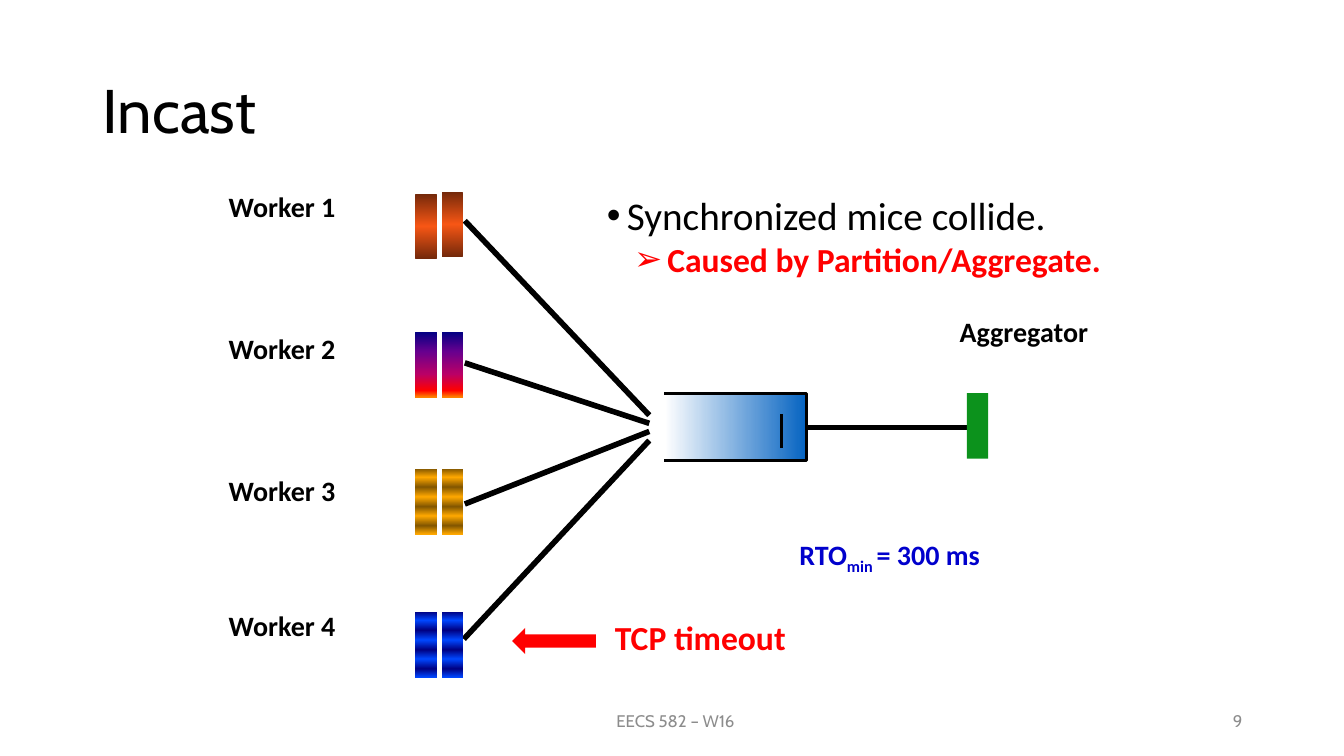
from dataclasses import dataclass

from lxml.etree import SubElement
from pptx import Presentation
from pptx.dml.color import RGBColor
from pptx.enum.shapes import MSO_CONNECTOR as Connector, MSO_SHAPE as Shape
from pptx.enum.text import MSO_ANCHOR as Anchor, PP_ALIGN as Align
from pptx.oxml.ns import qn
from pptx.util import Inches, Pt


@dataclass(frozen=True)
class Theme:
    black: str = "000000"
    red: str = "FF0000"
    blue: str = "0000CC"
    green: str = "0C921C"
    gray: str = "8C8C8C"
    heading: str = "Cabin"
    body: str = "Calibri"
    title: int = 44
    point: int = 28
    subpoint: int = 24
    label: int = 20
    footer: int = 12
    link: float = 4
    outline: float = 2.25


THEME = Theme()


def striped(dark, bright):
    positions = (0, 13, 28, 43, 58, 72, 87, 100)
    return [(position, (dark, bright)[i % 2]) for i, position in enumerate(positions)]


# label, label top, packet tops (left, right), link start, link end height, gradient
WORKERS = [
    ("Worker 1", 1.83, (1.92, 1.9), (4.61, 2.19), 4.12,
     [(0, "72280A"), (50, "F75615"), (100, "72280A")]),
    ("Worker 2", 3.24, (3.29, 3.29), (4.61, 3.6), 4.2,
     [(0, "000082"), (30, "66008F"), (65, "BA0066"), (90, "FF0000"), (100, "FF8200")]),
    ("Worker 3", 4.65, (4.65, 4.65), (4.61, 5), 4.28, striped("825600", "FFA800")),
    ("Worker 4", 5.99, (6.07, 6.07), (4.6, 6.34), 4.37, striped("000082", "0047FF")),
]
# text, left margin, bullet, size, colour, bold
POINTS = [
    ("Synchronized mice collide.", 0.2, 0.2, "•", THEME.point, THEME.black, False),
    ("Caused by Partition/Aggregate.", 0.6, 0.33, "➢", THEME.subpoint, THEME.red, True),
]
QUEUE_GRADIENT = [(0, "FFFFFF"), (100, "0563C1")]
LABEL_LEFT, LABEL_SIZE = 2.17, (1.5, 0.44)
PACKET_LEFTS, PACKET_SIZE = (4.12, 4.38), (0.21, 0.65)
SWITCH_LEFT = 6.44
QUEUE_LEFT, QUEUE_RIGHT, QUEUE_TOP, QUEUE_BOTTOM = 6.59, 8, 3.9, 4.57
AGGREGATOR_LEFT = 9.59

presentation = Presentation()
presentation.slide_width, presentation.slide_height = Inches(13.33), Inches(7.5)
slide = presentation.slides.add_slide(presentation.slide_layouts[6])


def add_run(paragraph, text, size, color, font=THEME.body, bold=False):
    run = paragraph.add_run()
    run.text = text
    run.font.name, run.font.size, run.font.bold = font, Pt(size), bold
    run.font.color.rgb = RGBColor.from_string(color)
    return run


def add_box(left, top, width, height, anchor=Anchor.TOP):
    box = slide.shapes.add_textbox(*map(Inches, (left, top, width, height)))
    box.text_frame.word_wrap = True
    box.text_frame.vertical_anchor = anchor
    return box.text_frame


def add_label(text, left, top, width=LABEL_SIZE[0], height=LABEL_SIZE[1],
              size=THEME.label, color=THEME.black):
    paragraph = add_box(left, top, width, height).paragraphs[0]
    add_run(paragraph, text, size, color, bold=True)
    return paragraph


def add_heading(text, area, size, color, align=Align.LEFT):
    paragraph = add_box(*area, Anchor.MIDDLE).paragraphs[0]
    paragraph.alignment = align
    add_run(paragraph, text, size, color, THEME.heading)
    return paragraph


def add_link(start, end, width=THEME.link):
    link = slide.shapes.add_connector(Connector.STRAIGHT, *map(Inches, start + end))
    link.line.color.rgb = RGBColor.from_string(THEME.black)
    link.line.width = Pt(width)
    SubElement(link._element.spPr, qn("a:effectLst"))


def paint_gradient(shape, stops, angle):
    shape.fill.gradient()
    shape.fill.gradient_angle = angle
    stop_list = shape._element.spPr.find(qn("a:gradFill")).find(qn("a:gsLst"))
    for stop in list(stop_list):
        stop_list.remove(stop)
    for position, color in stops:
        stop = SubElement(stop_list, qn("a:gs"), pos=str(position * 1000))
        SubElement(stop, qn("a:srgbClr"), val=color)


def add_block(kind, left, top, width, height, color=None, stops=None):
    block = slide.shapes.add_shape(kind, *map(Inches, (left, top, width, height)))
    block.shadow.inherit = False
    block.line.fill.background()
    if stops:
        paint_gradient(block, stops, 270)
    else:
        block.fill.solid()
        block.fill.fore_color.rgb = RGBColor.from_string(color)


def add_queue():
    builder = slide.shapes.build_freeform(Inches(QUEUE_LEFT), Inches(QUEUE_TOP))
    corners = [(QUEUE_RIGHT, QUEUE_TOP), (QUEUE_RIGHT, QUEUE_BOTTOM), (QUEUE_LEFT, QUEUE_BOTTOM)]
    builder.add_line_segments([(Inches(x), Inches(y)) for x, y in corners], close=False)
    queue = builder.convert_to_shape()
    queue.shadow.inherit = False
    paint_gradient(queue, QUEUE_GRADIENT, 0)
    queue.line.color.rgb = RGBColor.from_string(THEME.black)
    queue.line.width = Pt(THEME.outline)
    add_link((7.75, 4.11), (7.75, 4.44), THEME.outline)


def add_points():
    frame = add_box(5.92, 1.85, 5.5, 0.98)
    for i, (text, margin, hang, bullet, size, color, bold) in enumerate(POINTS):
        paragraph = frame.add_paragraph() if i else frame.paragraphs[0]
        properties = paragraph._p.get_or_add_pPr()
        properties.set("marL", str(Inches(margin)))
        properties.set("indent", str(-Inches(hang)))
        SubElement(properties, qn("a:buFont"), typeface="Arial")
        SubElement(properties, qn("a:buChar"), char=bullet)
        add_run(paragraph, text, size, color, bold=bold)


title = add_heading("Incast", (0.92, 0.4, 11.5, 1.45), THEME.title, THEME.black)
title.line_spacing = 0.9
add_heading("EECS 582 – W16", (4.45, 6.95, 4.5, 0.4), THEME.footer, THEME.gray, Align.CENTER)
add_heading("9", (9.42, 6.95, 3, 0.4), THEME.footer, THEME.gray, Align.RIGHT)

add_link((7.98, 4.24), (9.74, 4.24))
add_queue()
add_block(Shape.RECTANGLE, AGGREGATOR_LEFT, QUEUE_TOP, *PACKET_SIZE, THEME.green)
add_label("Aggregator", 9.42, 3.07, 1.67)

for name, label_top, packet_tops, link_start, link_end, stops in WORKERS:
    add_label(name, LABEL_LEFT, label_top)
    add_link(link_start, (SWITCH_LEFT, link_end))
    for left, top in zip(PACKET_LEFTS, packet_tops):
        add_block(Shape.RECTANGLE, left, top, *PACKET_SIZE, stops=stops)

add_label("TCP timeout", 6, 6.07, 2.08, 0.51, THEME.subpoint, THEME.red)
add_block(Shape.LEFT_ARROW, 5.08, 6.23, 0.83, 0.26, THEME.red)

timeout = add_label("RTO", 7.83, 5.28, 2.83, 1.04, color=THEME.blue)
subscript = add_run(timeout, "min ", THEME.label, THEME.blue, bold=True)
subscript.font._element.set("baseline", "-25000")
add_run(timeout, "= 300 ms", THEME.label, THEME.blue, bold=True)
add_points()

presentation.save("out.pptx")
